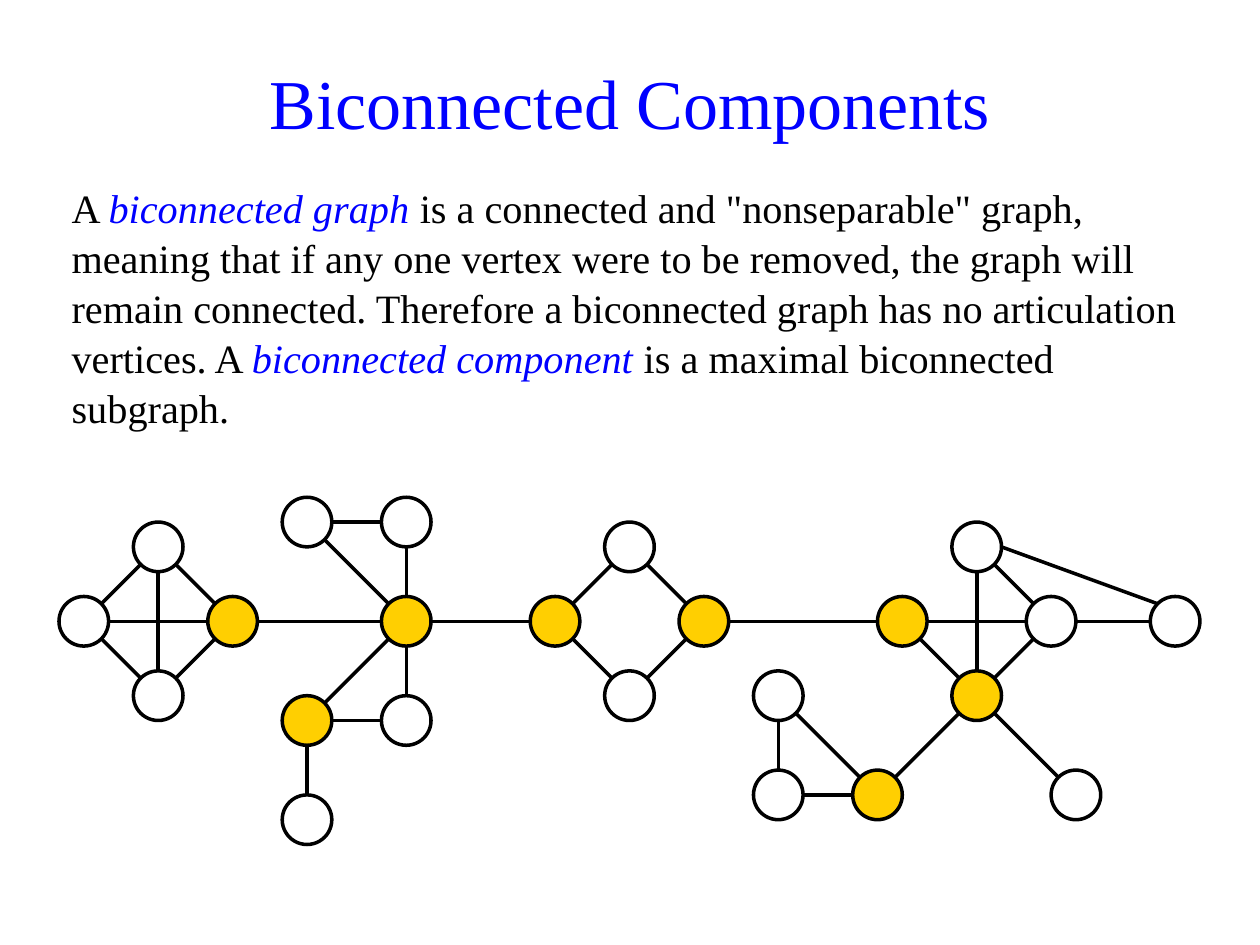
import pptx
import pptx.util
import pptx.dml.color
import pptx.enum.shapes
import pptx.enum.text
import pptx.oxml

RGB = pptx.dml.color.RGBColor
BLACK = RGB(0x00, 0x00, 0x00)
WHITE = RGB(0xFF, 0xFF, 0xFF)
BLUE = RGB(0x00, 0x00, 0xFF)
GOLD = RGB(0xFF, 0xCF, 0x01)

CELL = pptx.util.Mm(5)     # grid pitch; a node is two cells wide
LEFT, MID = 3.38, 25.05    # grid cell of the leftmost node's centre

PLAIN = {"color": BLACK, "italic": False}
TERM = {"color": BLUE, "italic": True}

# Node: column, row, counted from the leftmost node
PLACES = {
    "a1": (0, 0), "a2": (3, -3), "a3": (6, 0), "a4": (3, 3),
    "b1": (9, -4), "b2": (13, -4), "b3": (13, 0), "b4": (13, 4),
    "b5": (9, 4), "b6": (9, 8),
    "c1": (19, 0), "c2": (22, -3), "c3": (25, 0), "c4": (22, 3),
    "d1": (33, 0), "d2": (36, -3), "d3": (39, 0), "d4": (36, 3),
    "d5": (44, 0), "d6": (40, 7),
    "e1": (28, 3), "e2": (28, 7), "e3": (32, 7),
}
CUTS = {"a3", "b3", "b5", "c1", "c3", "d1", "d4", "e3"}
EDGES = """a1-a2 a2-a3 a1-a4 a4-a3 a1-a3 a2-a4 a3-b3
b1-b2 b2-b3 b1-b3 b3-b4 b5-b4 b5-b3 b5-b6 b3-c1
c1-c2 c2-c3 c1-c4 c4-c3 c3-d1
d1-d3 d1-d4 d2-d3 d2-d4 d4-d3 d3-d5 d4-d6 e3-d4
e1-e2 e1-e3 e2-e3""".split()


def sign(num):
    return (num > 0) - (num < 0)


def rim(spot, way):
    """Point on a node's rim in one of eight directions."""
    size = (way[0] ** 2 + way[1] ** 2) ** 0.5
    return [pos + step / size for pos, step in zip(spot, way)]


class Deck:
    font = "Times New Roman"
    width = pptx.util.Pt(2)

    def __init__(self):
        self.file = pptx.Presentation()
        self.file.slide_width = pptx.util.Inches(10)
        self.file.slide_height = pptx.util.Inches(7.5)
        self.slide = self.file.slides.add_slide(self.file.slide_layouts[6])

    def grid(self, col, row):
        return round((LEFT + col) * CELL), round((MID + row) * CELL)

    def text(self, box, runs, size, frame, para):
        """Box in shares of the slide; runs are (text, format) pairs."""
        wide, high = self.file.slide_width, self.file.slide_height
        rect = [round(part * full) for part, full in zip(box, (wide, high) * 2)]
        body = self.slide.shapes.add_textbox(*rect).text_frame
        line = body.paragraphs[0]
        for item, values in ((body, frame), (line, para)):
            for key, val in values.items():
                setattr(item, key, val)
        for words, form in runs:
            run = line.add_run()
            run.text = words
            base = {"name": self.font, "size": pptx.util.Pt(size)}
            for key, val in {**base, "italic": form["italic"]}.items():
                setattr(run.font, key, val)
            run.font.color.rgb = form["color"]

    def node(self, col, row, fill):
        left, top = self.grid(col - 1, row - 1)
        dot = self.slide.shapes.add_shape(
            pptx.enum.shapes.MSO_SHAPE.OVAL, left, top, 2 * CELL, 2 * CELL)
        dot.shadow.inherit = False
        dot.fill.solid()
        dot.fill.fore_color.rgb = fill
        self.ink(dot.line)

    def edge(self, start, end, out=None):
        way = [sign(b - a) for a, b in zip(start, end)]
        tail = rim(start, out or way)
        head = rim(end, [-step for step in way])
        link = self.slide.shapes.add_connector(
            pptx.enum.shapes.MSO_CONNECTOR.STRAIGHT,
            *self.grid(*tail), *self.grid(*head))
        self.ink(link.line)
        props = link._element.spPr
        props.append(pptx.oxml.parse_xml(
            '<a:effectLst xmlns:a='
            '"http://schemas.openxmlformats.org/drawingml/2006/main"/>'))

    def ink(self, line):
        line.color.rgb = BLACK
        line.width = self.width


def main():
    deck = Deck()
    align = pptx.enum.text.PP_ALIGN
    anchor = pptx.enum.text.MSO_ANCHOR

    # Title and definition
    deck.text((0.047, 0.028, 0.906, 0.13),
              [("Biconnected Components", {"color": BLUE, "italic": False})], 40,
              {"word_wrap": True, "vertical_anchor": anchor.BOTTOM},
              {"alignment": align.CENTER})
    deck.text((0.047, 0.185, 0.906, 0.29), [
        ("A ", PLAIN),
        ("biconnected graph", TERM),
        (' is a connected and "nonseparable" graph, meaning that if any one '
         "vertex were to be removed, the graph will remain connected. "
         "Therefore a biconnected graph has no articulation vertices. A ", PLAIN),
        ("biconnected component ", TERM),
        ("is a maximal biconnected subgraph.", PLAIN),
    ], 23, {"word_wrap": True, "vertical_anchor": anchor.TOP},
        {"alignment": align.LEFT, "line_spacing": 1.04})

    # Graph: edges run from rim to rim
    for pair in EDGES:
        start, end = pair.split("-")
        deck.edge(PLACES[start], PLACES[end])
    deck.edge(PLACES["d2"], PLACES["d5"], out=(1, 0))

    # Articulation vertices are gold
    for name, spot in PLACES.items():
        deck.node(*spot, GOLD if name in CUTS else WHITE)

    deck.file.save("out.pptx")


if __name__ == "__main__":
    main()
